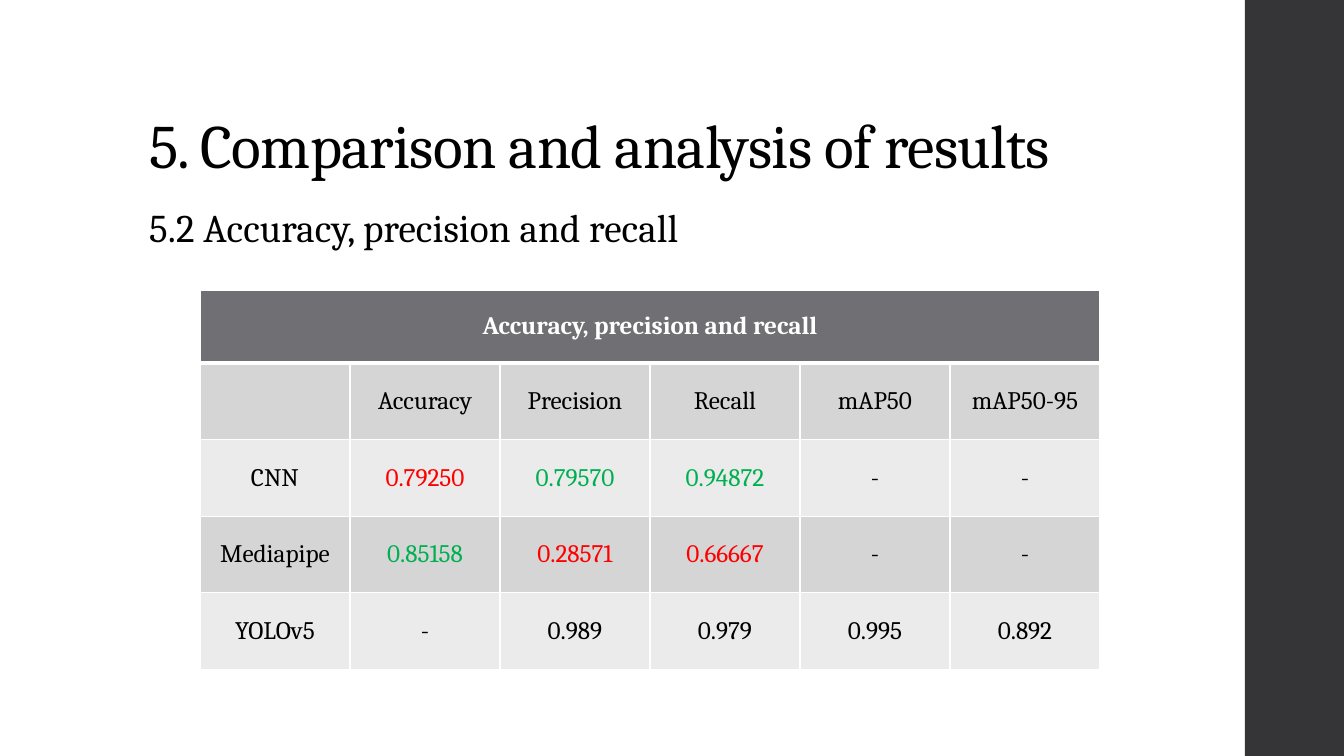
from lxml import etree
from pptx import Presentation
from pptx.dml.color import RGBColor
from pptx.enum.shapes import MSO_SHAPE
from pptx.enum.text import MSO_ANCHOR as ANCHOR, PP_ALIGN as ALIGN
from pptx.oxml.ns import qn
from pptx.util import Cm, Pt

BLACK = RGBColor(0x00, 0x00, 0x00)
WHITE = RGBColor(0xFF, 0xFF, 0xFF)
RED = RGBColor(0xFF, 0x00, 0x00)
GREEN = RGBColor(0x00, 0xB0, 0x50)
SIDEBAR = RGBColor(0x35, 0x35, 0x37)
HEADER = RGBColor(0x6F, 0x6F, 0x74)
BANDS = [RGBColor(0xEB, 0xEB, 0xEB), RGBColor(0xD5, 0xD5, 0xD6)]


def write(tf, text, size, color, bold=False, **para):
    p = tf.paragraphs[0]
    for name, value in para.items():
        setattr(p, name, value)
    r = p.add_run()
    r.text = text
    for name, value in {"name": "Cambria", "size": Pt(size), "bold": bold}.items():
        setattr(r.font, name, value)
    r.font.color.rgb = color
    return r


def add_border(cell, side, width):
    ln = etree.SubElement(cell._tc.get_or_add_tcPr(), qn(f"a:ln{side}"), w=str(Pt(width)))
    fill = etree.SubElement(ln, qn("a:solidFill"))
    etree.SubElement(fill, qn("a:srgbClr"), val=str(WHITE))


prs = Presentation()
prs.slide_width, prs.slide_height = Cm(33.87), Cm(19.05)
s = prs.slides.add_slide(prs.slide_layouts[6])

sp = s.shapes.add_shape(MSO_SHAPE.RECTANGLE, Cm(31.37), 0, Cm(2.5), prs.slide_height)
sp.shadow.inherit = False
sp.fill.solid()
sp.fill.fore_color.rgb = SIDEBAR
sp.line.fill.background()

headings = [
    ("5. Comparison and analysis of results", 1.02, 26.92, 3.68, 44, -50, ANCHOR.BOTTOM,
     {"line_spacing": 0.9}),
    ("5.2 Accuracy, precision and recall", 5.08, 23.88, 12.09, 28, 10, ANCHOR.TOP,
     {"line_spacing": 0.95, "space_before": Pt(14), "space_after": Pt(2)}),
]
for text, top, width, height, size, spacing, anchor, para in headings:
    tf = s.shapes.add_textbox(Cm(3.51), Cm(top), Cm(width), Cm(height)).text_frame
    tf.word_wrap = True
    tf.vertical_anchor = anchor
    r = write(tf, text, size, BLACK, **para)
    r.font._element.set("spc", str(spacing))

rows = [
    ["Accuracy, precision and recall", "", "", "", "", ""],
    ["", "Accuracy", "Precision", "Recall", "mAP50", "mAP50-95"],
    ["CNN", "0.79250", "0.79570", "0.94872", "-", "-"],
    ["Mediapipe", "0.85158", "0.28571", "0.66667", "-", "-"],
    ["YOLOv5", "-", "0.989", "0.979", "0.995", "0.892"],
]
colors = {
    (2, 1): RED, (2, 2): GREEN, (2, 3): GREEN,
    (3, 1): GREEN, (3, 2): RED, (3, 3): RED,
}
table = s.shapes.add_table(5, 6, Cm(5.04), Cm(7.31), Cm(22.68), Cm(9.56)).table
for column in table.columns:
    column.width = Cm(3.78)
for i, row in enumerate(table.rows):
    row.height = Cm(1.93 if i else 1.84)
table.cell(0, 0).merge(table.cell(0, 5))

for i, row in enumerate(rows):
    for j, text in enumerate(row):
        cell = table.cell(i, j)
        cell.vertical_anchor = ANCHOR.MIDDLE
        widths = {"L": 1, "R": 1, "T": 3 if i == 1 else 1, "B": 1 if i else 3}
        for side, width in widths.items():
            add_border(cell, side, width)
        cell.fill.solid()
        cell.fill.fore_color.rgb = BANDS[i % 2] if i else HEADER
        if text:
            color = colors.get((i, j), BLACK) if i else WHITE
            write(cell.text_frame, text, 18, color, bold=i == 0, alignment=ALIGN.CENTER)

prs.save("out.pptx")
